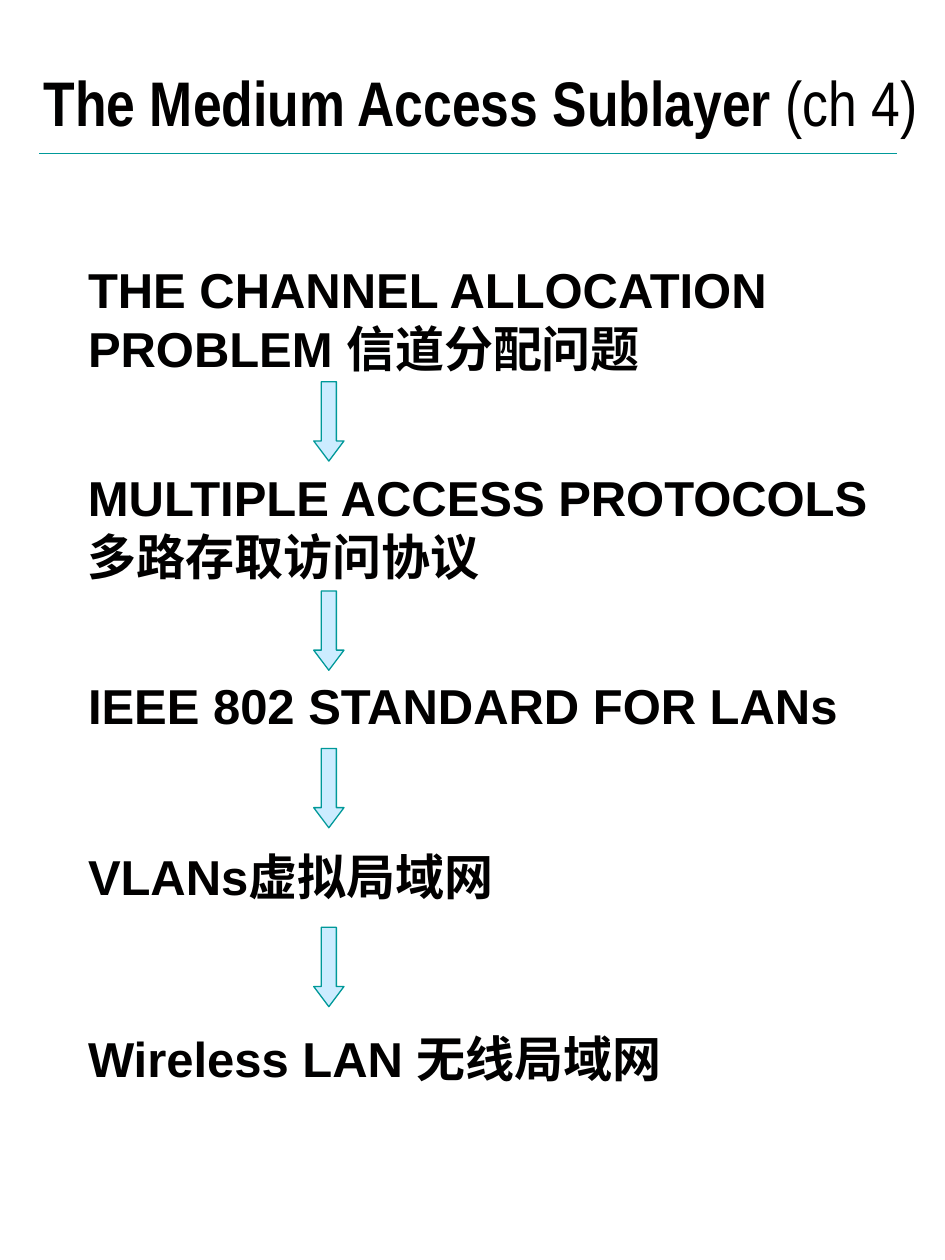
from lxml import etree
from pptx import Presentation
from pptx.dml.color import RGBColor
from pptx.enum.shapes import MSO_CONNECTOR, MSO_SHAPE
from pptx.enum.text import MSO_ANCHOR, MSO_AUTO_SIZE
from pptx.oxml.ns import qn
from pptx.util import Inches, Pt

STRAIGHT = MSO_CONNECTOR.STRAIGHT
DOWN_ARROW = MSO_SHAPE.DOWN_ARROW
MIDDLE = MSO_ANCHOR.MIDDLE
GROW = MSO_AUTO_SIZE.SHAPE_TO_FIT_TEXT

WHITE = RGBColor(0xFF, 0xFF, 0xFF)
INK = RGBColor(0x01, 0x00, 0x00)
TEAL = RGBColor(0x00, 0x99, 0x99)
PALE_BLUE = RGBColor(0xCC, 0xEC, 0xFF)

TOPIC_LEFT = 0.6
ARROW_LEFT, ARROW_WIDTH, ARROW_HEIGHT = 2.49, 0.24, 0.63

# Text, top, width, height
TOPICS = [
    ("THE CHANNEL ALLOCATION PROBLEM 信道分配问题", 2.01, 6.19, 1.03),
    ("MULTIPLE ACCESS PROTOCOLS多路存取访问协议", 3.66, 6.74, 1.03),
    ("IEEE 802 STANDARD FOR LANs", 5.31, 6.51, 0.57),
    ("VLANs虚拟局域网", 6.67, 5.25, 0.57),
    ("Wireless LAN 无线局域网", 8.11, 6.61, 0.57),
]
ARROW_TOPS = [3.03, 4.69, 5.94, 7.36]


class ChapterSlide:
    def __init__(self, slide):
        self.slide = slide
        self.line_width = Pt(0.75)
        slide.background.fill.solid()
        slide.background.fill.fore_color.rgb = WHITE

    def text_box(self, left, top, width, height):
        shape = self.slide.shapes.add_textbox(
            Inches(left), Inches(top), Inches(width), Inches(height))
        shape.text_frame.word_wrap = True
        return shape.text_frame

    def add_run(self, paragraph, text, font_name, size, bold=True):
        run = paragraph.add_run()
        run.text = text
        run.font.name = font_name
        run.font.size = Pt(size)
        run.font.bold = bold
        run.font.color.rgb = INK

    def title(self, name, chapter):
        frame = self.text_box(0.25, 0.25, 7.25, 1.22)
        frame.vertical_anchor = MIDDLE
        frame.margin_top = frame.margin_bottom = 0
        paragraph = frame.paragraphs[0]
        paragraph.line_spacing = 0.8
        self.add_run(paragraph, name, "Arial Narrow", 36)
        self.add_run(paragraph, chapter, "Arial Narrow", 36, bold=False)

    def topic(self, text, top, width, height):
        frame = self.text_box(TOPIC_LEFT, top, width, height)
        frame.auto_size = GROW
        self.add_run(frame.paragraphs[0], text, "Arial", 28)

    def rule(self, left, right, top):
        connector = self.slide.shapes.add_connector(
            STRAIGHT, Inches(left), Inches(top), Inches(right), Inches(top))
        connector.line.color.rgb = TEAL
        connector.line.width = self.line_width
        etree.SubElement(connector._element.spPr, qn("a:effectLst"))

    def arrow(self, top):
        shape = self.slide.shapes.add_shape(
            DOWN_ARROW, Inches(ARROW_LEFT), Inches(top),
            Inches(ARROW_WIDTH), Inches(ARROW_HEIGHT))
        shape.shadow.inherit = False
        shape.adjustments[0] = 0.5
        shape.adjustments[1] = 0.665
        shape.fill.solid()
        shape.fill.fore_color.rgb = PALE_BLUE
        shape.line.color.rgb = TEAL
        shape.line.width = self.line_width


def main():
    presentation = Presentation()
    presentation.slide_width = Inches(7.5)
    presentation.slide_height = Inches(10)
    blank_layout = presentation.slide_layouts[6]
    chapter = ChapterSlide(presentation.slides.add_slide(blank_layout))

    # Heading
    chapter.title("The Medium Access Sublayer ", "(ch 4)")
    chapter.rule(0.31, 7.12, 1.22)

    # Topics in reading order
    for topic in TOPICS:
        chapter.topic(*topic)

    # Arrows between topics
    for top in ARROW_TOPS:
        chapter.arrow(top)

    presentation.save("out.pptx")


if __name__ == "__main__":
    main()
